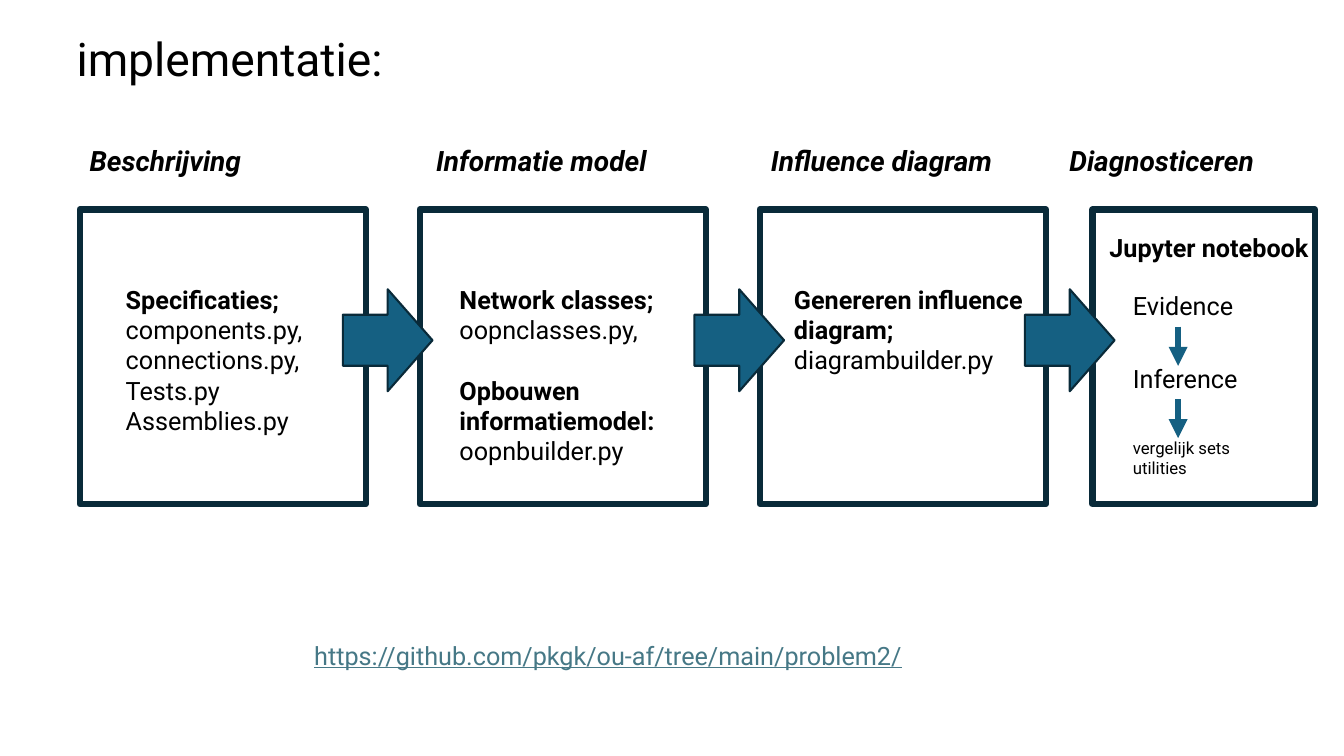
"""Build the slide on the implementation steps, from description to diagnosis."""
from lxml import etree
from pptx import Presentation, util as u
from pptx.dml.color import RGBColor
from pptx.enum import shapes, text
from pptx.oxml.ns import qn

FONT = "Roboto"
BLACK, WHITE, NAVY, BLUE, LINK = "000000", "FFFFFF", "092A39", "156082", "467886"

TITLE = "implementatie:"
URL = "https://github.com/pkgk/ou-af/tree/main/problem2/"
HEADINGS = [
    ("Beschrijving", 2.01, 4.62),
    ("Informatie model", 10.74, 7.32),
    ("Influence diagram", 19.18, 6.4),
    ("Diagnosticeren", 26.7, 5.61),
]
BODIES = [
    (2.92, 6.25, 4.11, [
        [("Specificaties; ", True), ("components.py, connections.py,", False)],
        [("Tests.py", False)],
        [("Assemblies.py", False)],
    ]),
    (11.33, 6.25, 4.88, [
        [("Network classes; ", True), ("oopnclasses.py,", False)],
        [("Opbouwen informatiemodel:", True)],
        [("oopnbuilder.py", False)],
    ]),
    (19.76, 6.45, 2.57, [
        [("Genereren influence diagram; ", True), ("diagrambuilder.py", False)],
    ]),
]
NOTEBOOK = "Jupyter notebook"
STEPS = [
    ("Evidence", 7.19, 3.15, 18, False),
    ("Inference", 9.02, 3.38, 18, False),
    ("vergelijk sets utilities", 10.9, 4.37, 12, True),
]
STEP_LEFT = 28.3
STEP_ARROWS = [(8.23, 9.22), (10.06, 11.04)]
STEP_ARROW_X = 29.69
CARD_LEFT, CARD_PITCH, CARD_TOP, CARD_HEIGHT = 2.01, 8.57, 5.28, 7.42
CARD_WIDTH = 7.21
LAST_CARD = (27.53, 5.61)
ARROW_LEFTS = [8.64, 17.5, 25.83]
ARROW_TOP, ARROW_WIDTH, ARROW_HEIGHT = 7.29, 2.26, 2.57


def color(value):
    return RGBColor.from_string(value)


def cm(*values):
    return [u.Cm(value) for value in values]


def add_shape(page, kind, area, fill, line_width):
    shape = page.shapes.add_shape(kind, *cm(*area))
    shape.shadow.inherit = False
    shape.fill.solid()
    shape.fill.fore_color.rgb = color(fill)
    shape.line.color.rgb = color(NAVY)
    shape.line.width = u.Pt(line_width)


def add_text(page, area, paragraphs, size, wrap=True, ink=BLACK, **styles):
    box = page.shapes.add_textbox(*cm(*area))
    frame = box.text_frame
    frame.word_wrap = wrap
    for index, runs in enumerate(paragraphs):
        para = frame.paragraphs[0] if index == 0 else frame.add_paragraph()
        for words, bold in runs:
            span = para.add_run()
            span.text = words
            span.font.color.rgb = color(ink)
            formats = {"name": FONT, "size": u.Pt(size), "bold": bold, **styles}
            for key, value in formats.items():
                setattr(span.font, key, value)
    return frame


def add_step_arrow(page, top, bottom):
    line = page.shapes.add_connector(
        shapes.MSO_CONNECTOR.STRAIGHT, *cm(STEP_ARROW_X, top, STEP_ARROW_X, bottom))
    line.line.color.rgb = color(BLUE)
    line.line.width = u.Pt(4.5)
    etree.SubElement(line.line._get_or_add_ln(), qn("a:tailEnd"), type="triangle")
    etree.SubElement(line._element.spPr, qn("a:effectLst"))


def main():
    deck = Presentation()
    deck.slide_width, deck.slide_height = cm(33.87, 19.05)
    page = deck.slides.add_slide(deck.slide_layouts[6])

    cards = [(CARD_LEFT + CARD_PITCH * index, CARD_WIDTH) for index in range(3)]
    for left, width in cards + [LAST_CARD]:
        add_shape(page, shapes.MSO_SHAPE.RECTANGLE,
                  (left, CARD_TOP, width, CARD_HEIGHT), WHITE, 4.5)

    title = add_text(page, (1.68, 0.89, 29.21, 1.35), [[(TITLE, False)]], 33)
    title.vertical_anchor = text.MSO_ANCHOR.BOTTOM
    title.paragraphs[0].line_spacing = 0.7

    for words, left, width in HEADINGS:
        add_text(page, (left, 3.48, width, 1.12), [[(words, True)]], 20, False, italic=True)

    bodies = [add_text(page, (left, 7.04, width, height), paragraphs, 18)
              for left, width, height, paragraphs in BODIES]
    bodies[1].paragraphs[1].space_before = u.Pt(21.5)

    add_text(page, (27.71, 5.72, 5.54, 1.02), [[(NOTEBOOK, True)]], 18, False)
    for words, top, width, size, wrap in STEPS:
        add_text(page, (STEP_LEFT, top, width, 1.02), [[(words, False)]], size, wrap)
    for top, bottom in STEP_ARROWS:
        add_step_arrow(page, top, bottom)

    for left in ARROW_LEFTS:
        add_shape(page, shapes.MSO_SHAPE.RIGHT_ARROW,
                  (left, ARROW_TOP, ARROW_WIDTH, ARROW_HEIGHT), BLUE, 1.5)

    add_text(page, (7.67, 16, 16.94, 1.02), [[(URL, False)]], 18, ink=LINK, underline=True)
    deck.save("out.pptx")


if __name__ == "__main__":
    main()
